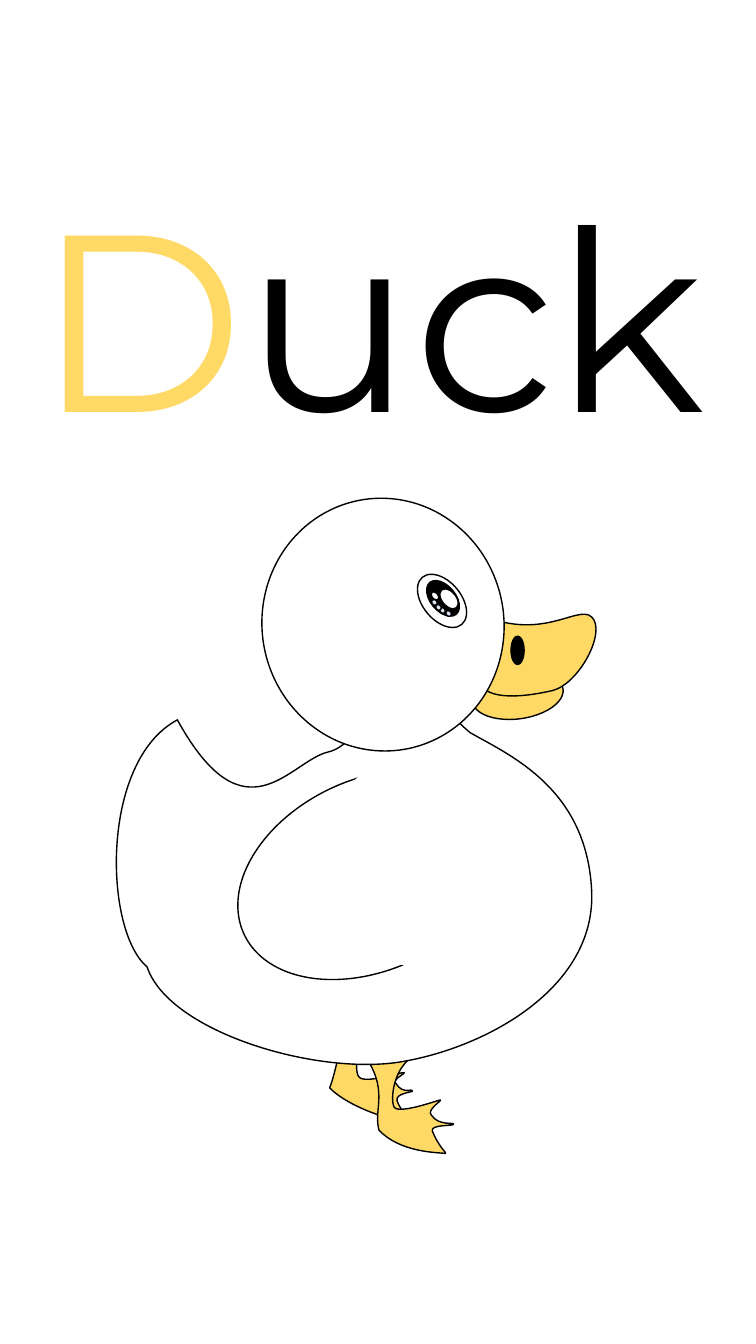
from math import cos, radians, sin

from lxml.etree import SubElement
from pptx import Presentation
from pptx.dml.color import RGBColor
from pptx.enum.shapes import MSO_SHAPE as SHAPE
from pptx.enum.text import MSO_ANCHOR, MSO_AUTO_SIZE, PP_ALIGN
from pptx.oxml.ns import qn
from pptx.util import Inches, Pt

BLACK = RGBColor(0x00, 0x00, 0x00)
WHITE = RGBColor(0xFF, 0xFF, 0xFF)
YELLOW = RGBColor(0xFF, 0xD9, 0x66)
PALE_BLUE = RGBColor(0xDA, 0xE3, 0xF3)
EYE_TILT = 50.2


def paint(sp, fill, outlined=True):
    sp.shadow.inherit = False
    sp.fill.solid()
    sp.fill.fore_color.rgb = fill
    if outlined:
        sp.line.color.rgb = BLACK
        sp.line.width = Pt(1)
    else:
        sp.line.fill.background()


def add_outline(shapes, frame, angle, fill, start, segments):
    """Draw a closed outline; a segment is an end point or the six numbers of a cubic curve.

    Points are given as seen on the slide, so they are turned back by the frame's angle.
    """
    left, top, width, height = frame
    builder = shapes.build_freeform(Inches(left), Inches(top))
    builder.add_line_segments([(Inches(left + width), Inches(top + height))], close=False)
    sp = builder.convert_to_shape()
    geometry = sp._element.find(".//" + qn("a:path"))
    for child in list(geometry):
        geometry.remove(child)
    c, s = cos(radians(angle)), sin(radians(angle))
    for seg in [start, *segments]:
        tag = "a:moveTo" if seg is start else "a:lnTo" if len(seg) == 2 else "a:cubicBezTo"
        command = SubElement(geometry, qn(tag))
        for x, y in zip(seg[::2], seg[1::2]):
            dx, dy = x - left - width / 2, y - top - height / 2
            pt = SubElement(command, qn("a:pt"))
            pt.set("x", str(Inches(width / 2 + dx * c + dy * s)))
            pt.set("y", str(Inches(height / 2 - dx * s + dy * c)))
    SubElement(geometry, qn("a:close"))
    sp.rotation = angle
    paint(sp, fill)


prs = Presentation()
prs.slide_width = Inches(7.5)
prs.slide_height = Inches(13.33)
slide = prs.slides.add_slide(prs.slide_layouts[5])

# Word
title = slide.shapes.title
title.left, title.top = Inches(0.26), Inches(1.54)
title.width, title.height = Inches(8.06), Inches(3.13)
tf = title.text_frame
tf.word_wrap = True
tf.auto_size = MSO_AUTO_SIZE.SHAPE_TO_FIT_TEXT
tf.vertical_anchor = MSO_ANCHOR.TOP
p = tf.paragraphs[0]
p.alignment = PP_ALIGN.LEFT
for text, color in (("D", YELLOW), ("uck", BLACK)):
    r = p.add_run()
    r.text = text
    r.font.name = "Montserrat"
    r.font.size = Pt(180)
    r.font.color.rgb = color
    r._r.get_or_add_rPr().set("kern", "0")

# Duck, from back to front
back_foot = [
    (3.43, 10.19),
    (3.38, 10.34, 3.33, 10.64, 3.27, 10.79),
    (3.48, 11, 3.93, 11.12, 4.05, 11.14),
    (4.16, 11.16, 4, 11.08, 3.94, 10.92),
    (3.91, 10.84, 4.12, 10.83, 4.09, 10.82),
    (4.1, 10.79, 4, 10.86, 3.93, 10.75),
    (3.88, 10.71, 4.02, 10.65, 4.01, 10.64),
    (4.01, 10.62, 3.62, 10.76, 3.56, 10.68),
    (3.5, 10.6, 3.57, 10.27, 3.66, 10.17),
]
front_foot = [
    (3.6, 10.44),
    (3.87, 10.82, 3.7, 10.99, 3.76, 11.21),
    (3.97, 11.43, 4.33, 11.43, 4.42, 11.44),
    (4.44, 11.44, 4.36, 11.39, 4.29, 11.22),
    (4.26, 11.15, 4.51, 11.17, 4.5, 11.15),
    (4.51, 11.13, 4.35, 11.17, 4.28, 11.06),
    (4.23, 11.01, 4.38, 10.92, 4.37, 10.91),
    (4.38, 10.9, 3.95, 11.06, 3.91, 10.98),
    (3.87, 10.91, 3.9, 10.57, 4.13, 10.46),
]
body = [
    (5.82, 7.83, 5.08, 7.5, 4.67, 7.27),
    (4.37, 7.04, 4.24, 6.6, 4, 6.64),
    (3.76, 6.67, 3.62, 7.38, 3.25, 7.46),
    (2.88, 7.55, 2.43, 8.36, 1.76, 7.14),
    (0.99, 7.55, 1.03, 9.23, 1.46, 9.59),
    (1.67, 10.22, 3.07, 10.65, 3.92, 10.54),
    (4.77, 10.42, 5.92, 9.82, 5.87, 8.83),
]
upper_beak = [
    (5.73, 5.98, 5.33, 6.43, 4.62, 6.02),
    (3.91, 5.61, 4.71, 6.57, 4.74, 6.76),
    (4.84, 6.96, 5.21, 6.91, 5.48, 6.85),
    (5.75, 6.78, 6.02, 6.26, 5.87, 6.12),
]
lower_beak = (4.68, 6.66, 0.91, 0.47, 352.3, YELLOW)
face = [
    (2.6, 4.94, 2.4, 2.51, 350.3, WHITE),            # head
    (5.07, 6.31, 0.13, 0.28, 0, BLACK),              # nostril
    (4.08, 5.77, 0.61, 0.38, EYE_TILT, WHITE),       # eye
    (4.19, 5.81, 0.41, 0.25, EYE_TILT, BLACK),       # pupil
    (4.34, 5.87, 0.23, 0.14, EYE_TILT, WHITE),       # large glint
]
glints = [(4.42, 6.06), (4.36, 6.03), (4.32, 6), (4.28, 5.95)]
face += [(x, y, 0.06, 0.05, EYE_TILT, PALE_BLUE) for x, y in glints]
face.append((4.27, 5.88, 0.09, 0.06, EYE_TILT, WHITE))
wing = (2.29, 7.73, 2.79, 1.89, 154.9, WHITE)
wing_cover = (3.15, 7.61, 2.2, 1.89, 59.1, WHITE)

duck = slide.shapes.add_group_shape().shapes
add_outline(duck, (3.27, 10.17, 0.82, 0.98), 0, YELLOW, (3.66, 10.17), back_foot)
add_outline(duck, (3.6, 10.44, 0.91, 1), 0, YELLOW, (4.13, 10.46), front_foot)
add_outline(duck, (1.17, 6.75, 4.66, 3.83), 350.3, WHITE, (5.87, 8.83), body)

for part in [lower_beak, *face, wing, wing_cover]:
    *box, angle, fill = part
    is_cover = part is wing_cover
    kind = SHAPE.ROUNDED_RECTANGLE if is_cover else SHAPE.OVAL
    sp = duck.add_shape(kind, *map(Inches, box))
    sp.rotation = angle
    paint(sp, fill, outlined=not is_cover)
    if is_cover:
        sp.adjustments[0] = 0.5
    if part is lower_beak:
        add_outline(duck, (4.52, 5.59, 1.35, 1.34), 334.1, YELLOW, (5.87, 6.12), upper_beak)

prs.save("out.pptx")
